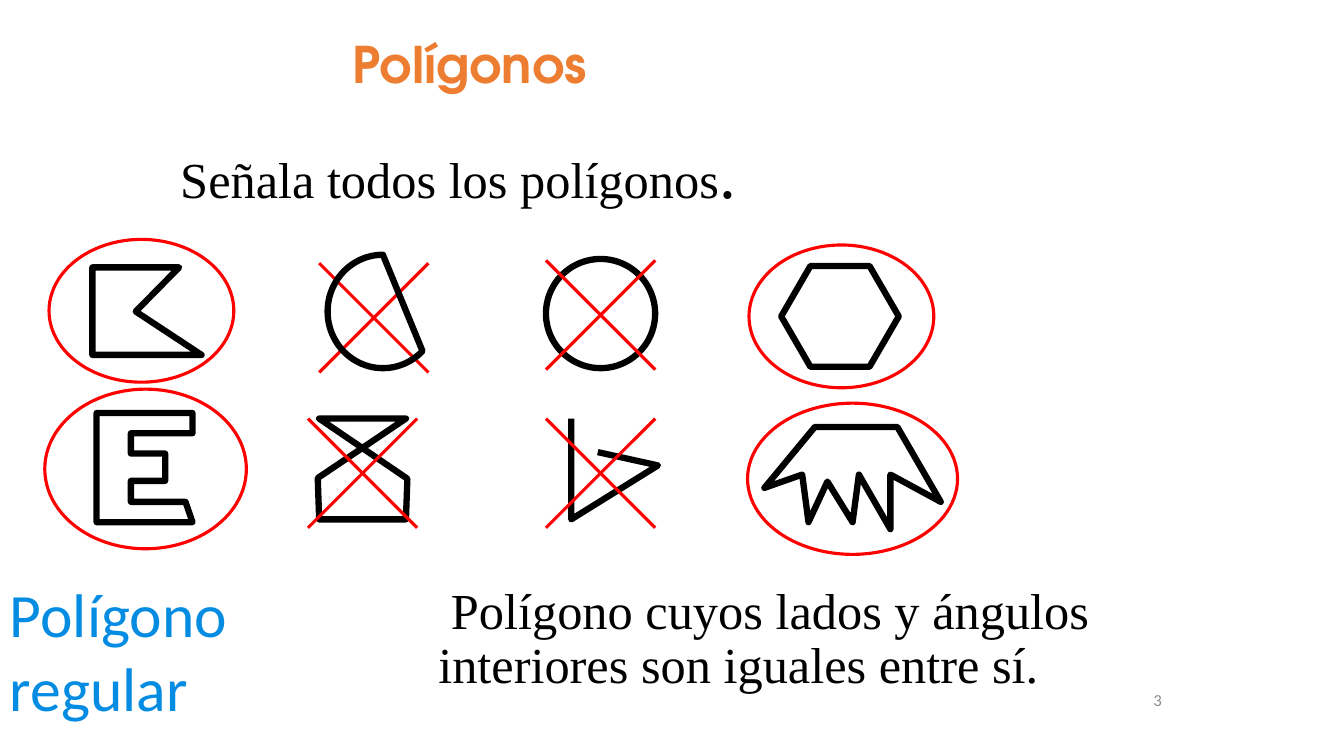
from lxml import etree
from pptx import Presentation
from pptx import util as u
from pptx.dml.color import RGBColor
from pptx.enum import shapes, text
from pptx.oxml.ns import qn

COLORS = {"black": "000000", "red": "FF0000", "orange": "ED7D31",
          "blue": "038CE1", "gray": "8C8C8C"}
SERIF = "Times New Roman"
CROSS_SIZE = 78


class SlideBuilder:
    """Holds the line style and the current slide; lengths are in points."""

    def __init__(self, slide, figure_width=4.5, mark_width=2.25):
        self.slide = slide
        self.widths = {"black": figure_width, "red": mark_width}

    def outline(self, shape, color):
        shape.line.color.rgb = RGBColor.from_string(COLORS[color])
        shape.line.width = u.Pt(self.widths[color])

    def place(self, shape, box):
        for name, value in zip(("left", "top", "width", "height"), box):
            setattr(shape, name, u.Pt(value))

    def fill_text(self, shape, runs, frame_format, paragraph_format):
        frame = shape.text_frame
        for name, value in frame_format.items():
            setattr(frame, name, value)
        paragraph = frame.paragraphs[0]
        for name, value in paragraph_format.items():
            setattr(paragraph, name, value)
        for content, color, font_format in runs:
            run = paragraph.add_run()
            run.text = content
            run.font.color.rgb = RGBColor.from_string(COLORS[color])
            for name, value in font_format.items():
                setattr(run.font, name, value)

    def title(self, box, runs):
        shape = self.slide.shapes.title
        self.place(shape, box)
        self.fill_text(shape, runs,
                       {"word_wrap": False,
                        "auto_size": text.MSO_AUTO_SIZE.NONE,
                        "vertical_anchor": text.MSO_ANCHOR.TOP},
                       {"alignment": text.PP_ALIGN.CENTER})

    def text_box(self, box, runs, wrap=True, anchor=text.MSO_ANCHOR.TOP,
                 grow=True, **paragraph_format):
        shape = self.slide.shapes.add_textbox(*map(u.Pt, box))
        size = text.MSO_AUTO_SIZE
        self.fill_text(shape, runs,
                       {"word_wrap": wrap, "vertical_anchor": anchor,
                        "auto_size": size.SHAPE_TO_FIT_TEXT if grow
                        else size.NONE},
                       paragraph_format)

    def preset(self, kind, box, color="black"):
        shape = self.slide.shapes.add_shape(kind, *map(u.Pt, box))
        shape.shadow.inherit = False
        shape.fill.background()
        self.outline(shape, color)
        return shape

    def polyline(self, points, closed=True):
        corners = [(u.Pt(x), u.Pt(y)) for x, y in points]
        builder = self.slide.shapes.build_freeform(*corners[0], scale=1.0)
        builder.add_line_segments(corners[1:], close=closed)
        shape = builder.convert_to_shape()
        shape.shadow.inherit = False
        shape.fill.background()
        self.outline(shape, "black")

    def cross(self, left, top):
        right, bottom = left + CROSS_SIZE, top + CROSS_SIZE
        for start, end in ((right, left), (left, right)):
            line = self.slide.shapes.add_connector(
                shapes.MSO_CONNECTOR.STRAIGHT,
                *map(u.Pt, (start, top, end, bottom)))
            self.outline(line, "red")
            etree.SubElement(line._element.spPr, qn("a:effectLst"))


def main():
    presentation = Presentation()
    presentation.slide_width = u.Pt(960)
    presentation.slide_height = u.Pt(540)
    slide = presentation.slides.add_slide(presentation.slide_layouts[5])
    builder = SlideBuilder(slide)
    kinds = shapes.MSO_SHAPE

    # Title and instruction
    builder.title((137.5, 20, 396, 66),
                  [("Polígonos", "orange", {"name": "TeX Gyre Adventor",
                                            "size": u.Pt(36), "bold": True})])
    serif = {"name": SERIF, "size": u.Pt(36)}
    builder.text_box((121.7, 90, 415.5, 65.5),
                     [("Señala todos los polígonos", "black", serif),
                      (".", "black", {"name": SERIF, "size": u.Pt(48)})],
                     wrap=False)

    # Drawn figures: flag, letter E, twisted outline, crown
    for points in (
        [(128, 191), (66, 191), (66, 253.5), (144, 253.5), (97, 222.5)],
        [(137.5, 295), (69, 295), (69, 373), (137.5, 373), (132.5, 358.5),
         (93.5, 358.5), (93.5, 343.5), (118, 343.5), (118, 324),
         (93.5, 324), (93.5, 309.5), (137.5, 309.5)],
        [(228, 299), (290, 299), (227, 341.5), (228, 371), (290, 371),
         (291, 342)],
        [(641, 305), (582, 305), (546, 348.5), (573, 339), (577.5, 373),
         (591, 344), (609, 373), (613.5, 339), (636, 378), (636, 339),
         (672, 358.5)],
    ):
        builder.polyline(points)
    # Open outline
    builder.polyline([(408, 299), (408, 371), (470, 332.5), (427, 323)],
                     closed=False)

    # Circle and hexagon
    builder.preset(kinds.OVAL, (390, 185, 78, 78))
    hexagon = builder.preset(kinds.HEXAGON, (558, 190, 84, 72))
    hexagon.adjustments[0] = 0.29

    # Red rings around polygons, crosses over the rest
    for ring in ((35, 171, 132, 102), (535, 175, 132, 102),
                 (32, 278, 144, 114), (534, 288, 150, 108)):
        builder.preset(kinds.OVAL, ring, "red")
    for corner in ((228, 188), (390, 186), (220, 299), (390, 299)):
        builder.cross(*corner)
    builder.preset(kinds.CHORD, (234, 182, 79, 81))

    # Definition
    builder.text_box((0, 408, 306, 60.5),
                     [("Polígono regular", "blue",
                       {"name": "Calibri", "size": u.Pt(44)})])
    builder.text_box((306, 415, 505, 85.5),
                     [(" Polígono cuyos lados y ángulos interiores son "
                       "iguales entre sí.", "black", serif)],
                     line_spacing=0.9)

    # Page number
    builder.text_box((669, 485.5, 168, 28.75),
                     [("3", "gray", {"name": "Calibri", "size": u.Pt(12)})],
                     anchor=text.MSO_ANCHOR.MIDDLE, grow=False,
                     alignment=text.PP_ALIGN.RIGHT)

    presentation.save("out.pptx")


if __name__ == "__main__":
    main()
